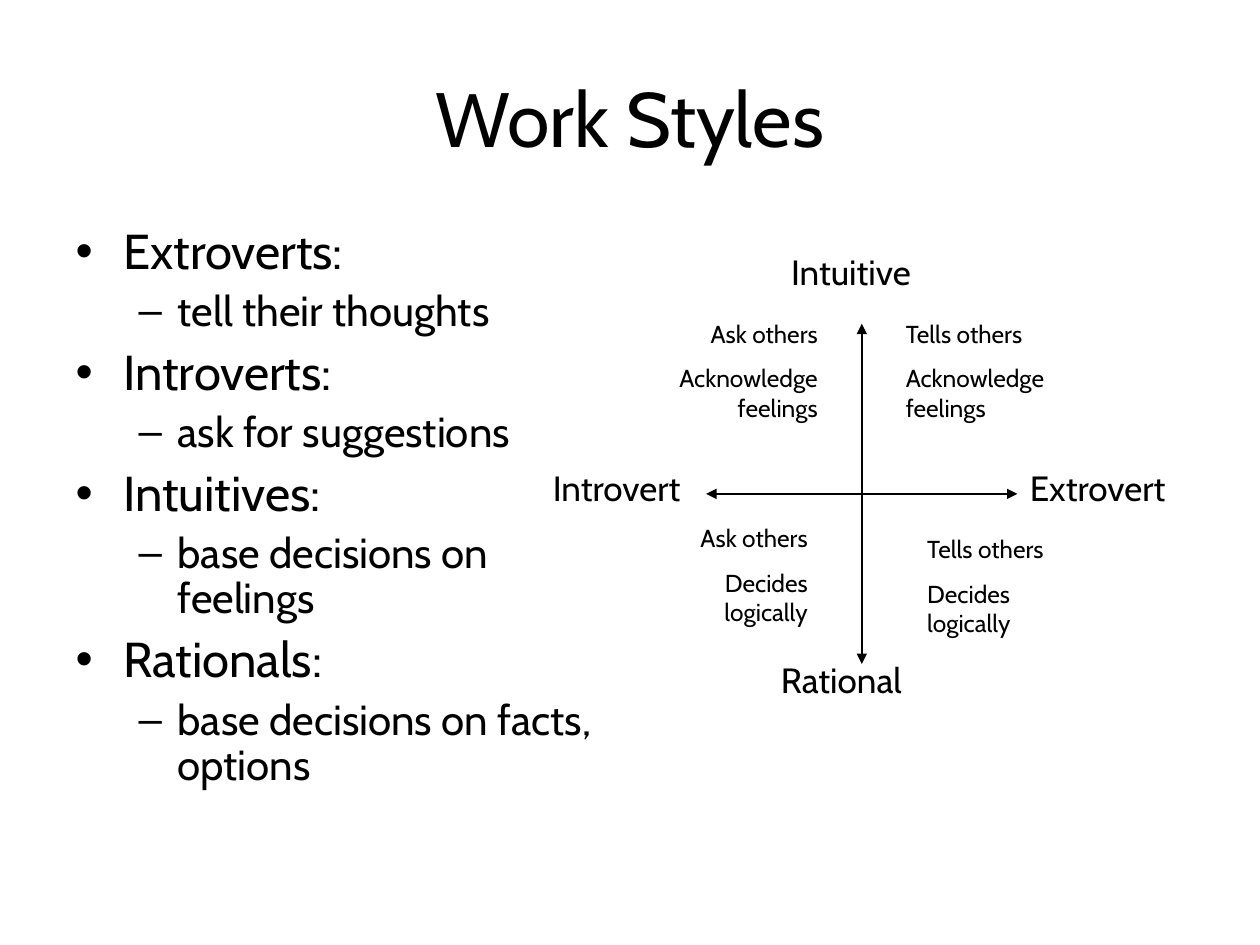
from lxml.etree import SubElement
from pptx import Presentation
from pptx.dml.color import RGBColor
from pptx.enum.shapes import MSO_CONNECTOR
from pptx.enum.text import MSO_ANCHOR, MSO_AUTO_SIZE, PP_ALIGN
from pptx.oxml.ns import qn
from pptx.util import Inches, Pt

FONT, INK = "Cabin", "000000"
WIDE, HIGH = 10, 7.5

# Content
TITLE = "Work Styles"
STYLES = [
    ("Extroverts:", "tell their thoughts"),
    ("Introverts:", "ask for suggestions"),
    ("Intuitives:", "base decisions on feelings"),
    ("Rationals:", "base decisions on facts, options"),
]
# Per level: bullet, size, left margin, hanging indent, space before
LEVELS = [("•", 28, 0.38, -0.38, 7), ("–", 24, 0.81, -0.31, 6)]

# Axis cross: centre and half lengths, in inches
MID_X, MID_Y, HALF_X, HALF_Y = 6.84, 3.92, 1.235, 1.35
# Axis ends: text, left, top, width
ENDS = [
    ("Intuitive", 6.18, 1.94, 1.48),
    ("Introvert", 4.29, MID_Y - 0.27, 1.4),
    ("Extrovert", MID_X + HALF_X, MID_Y - 0.27, 1.65),
    ("Rational", 6.1, 5.18, 1.56),
]
# Quadrants: lines, left, top, alignment
QUADS = [
    (("Ask others", "Acknowledge feelings"), 5.11, 2.48, PP_ALIGN.RIGHT),
    (("Tells others", "Acknowledge feelings"), 7.09, 2.48, PP_ALIGN.LEFT),
    (("Ask others", "Decides logically"), 5.03, 4.1, PP_ALIGN.RIGHT),
    (("Tells others", "Decides logically"), 7.26, 4.19, PP_ALIGN.LEFT),
]


def color(code):
    return RGBColor.from_string(code)


def place(shape, *box):
    shape.left, shape.top, shape.width, shape.height = map(Inches, box)


def style(para, size, align):
    para.alignment = align
    para.font.name = FONT
    para.font.size = Pt(size)
    para.font.color.rgb = color(INK)


def bullet(para, level):
    mark, size, left, hang, gap = LEVELS[level]
    para.level = level
    props = para._p.get_or_add_pPr()
    props.set("marL", str(Inches(left)))
    props.set("indent", str(Inches(hang)))
    SubElement(props, qn("a:buChar")).set("char", mark)
    para.line_spacing = 0.9
    para.space_before = Pt(gap if para.text != STYLES[0][0] else 0)
    style(para, size, PP_ALIGN.LEFT)


def label(group, lines, box, size, align=PP_ALIGN.LEFT):
    frame = group.shapes.add_textbox(*map(Inches, box)).text_frame
    frame.word_wrap = True
    frame.text = "\n".join(lines)
    for row, para in enumerate(frame.paragraphs):
        para.space_before = Pt(8.8 if row else 0)
        style(para, size, align)


def axis(group, *ends):
    line = group.shapes.add_connector(MSO_CONNECTOR.STRAIGHT, *map(Inches, ends))
    line.line.color.rgb = color(INK)
    line.line.width = Pt(1.25)
    for end in ("a:headEnd", "a:tailEnd"):
        SubElement(line.line._get_or_add_ln(), qn(end)).set("type", "triangle")
    SubElement(line._element.spPr, qn("a:effectLst"))


def main():
    deck = Presentation()
    deck.slide_width, deck.slide_height = Inches(WIDE), Inches(HIGH)
    slide = deck.slides.add_slide(deck.slide_layouts[1])

    # Title
    title = slide.shapes.title
    place(title, 0.5, 0.3, WIDE - 1, 1.25)
    title.text_frame.text = TITLE
    title.text_frame.vertical_anchor = MSO_ANCHOR.MIDDLE
    style(title.text_frame.paragraphs[0], 44, PP_ALIGN.CENTER)

    # Bullet list
    body = slide.placeholders[1]
    place(body, 0.5, 1.75, 4.42, 4.95)
    frame = body.text_frame
    frame.auto_size = MSO_AUTO_SIZE.NONE
    frame.text = "\n".join(text for pair in STYLES for text in pair)
    for row, para in enumerate(frame.paragraphs):
        bullet(para, row % 2)

    # Axis cross with its labels
    group = slide.shapes.add_group_shape()
    axis(group, MID_X, MID_Y - HALF_Y, MID_X, MID_Y + HALF_Y)
    axis(group, MID_X - HALF_X, MID_Y, MID_X + HALF_X, MID_Y)
    for text, left, top, width in ENDS:
        label(group, [text], (left, top, width, 0.44), 20)
    for lines, left, top, align in QUADS:
        label(group, lines, (left, top, 1.48, 0.92), 14, align)

    deck.save("out.pptx")


if __name__ == "__main__":
    main()
